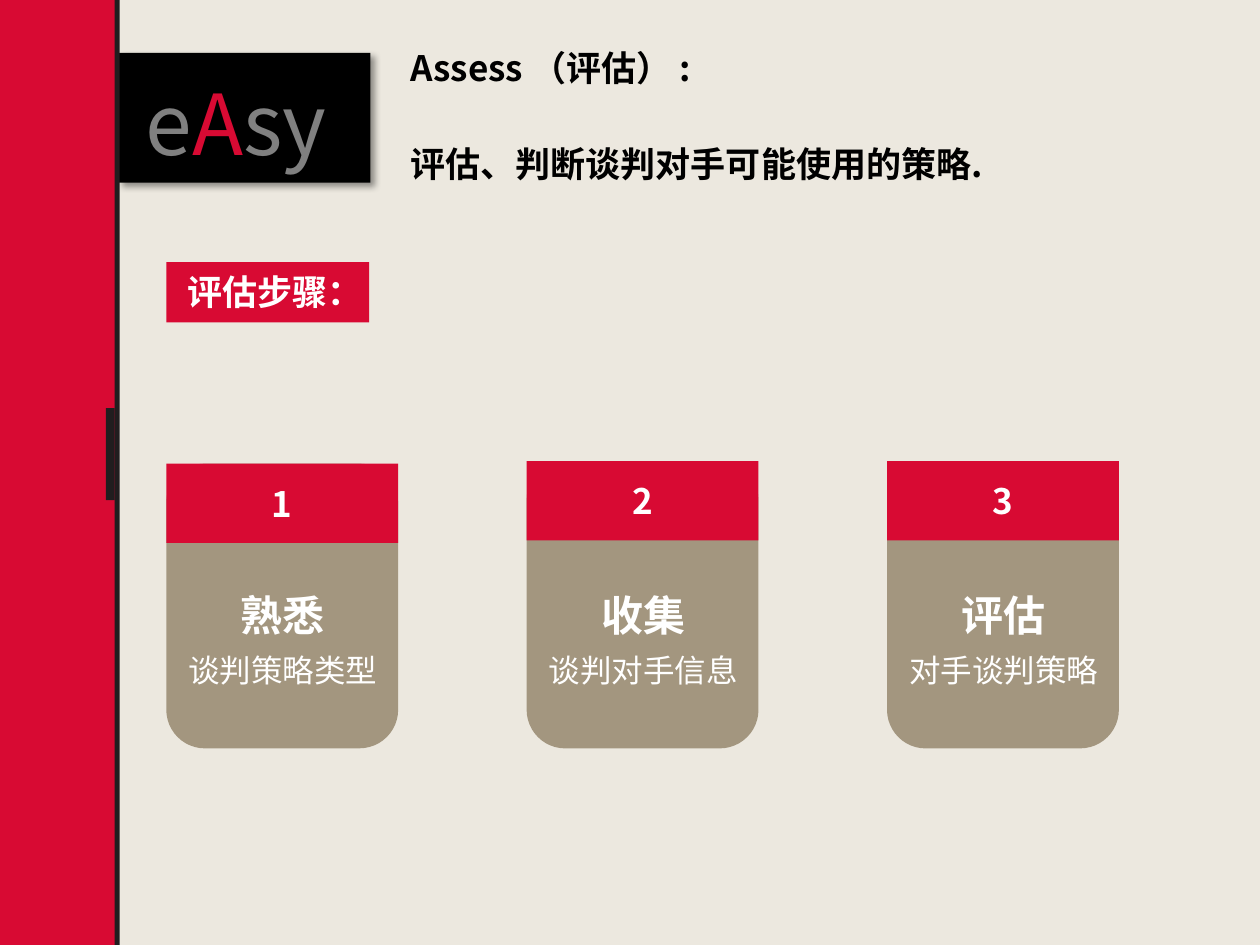
from lxml.etree import SubElement as Sub
from pptx import Presentation
from pptx.dml.color import RGBColor as Rgb
from pptx.enum.shapes import MSO_SHAPE as Kind
from pptx.enum.text import MSO_ANCHOR as Anchor, PP_ALIGN as Align
from pptx.oxml.ns import qn
from pptx.util import Inches, Pt

FACE = "Noto Sans CJK SC"
RED = Rgb(0xD8, 0x0A, 0x33)
DARK = Rgb(0x21, 0x1D, 0x1F)
BLACK = Rgb(0, 0, 0)
WHITE = Rgb(255, 255, 255)
GRAY = Rgb(0x80, 0x80, 0x80)
TAN = Rgb(0xA3, 0x96, 0x7F)
CREAM = Rgb(0xEC, 0xE8, 0xDF)

HEAD = {"size": Pt(20), "bold": True}
TITLE = {"size": Pt(24), "bold": True}
BODY = {"size": Pt(18), "bold": False}
LOGO = {"size": Pt(48), "bold": False}


def add_run(para, text, color, style):
    run = para.add_run()
    run.text = text
    for key, val in {"name": FACE, **style}.items():
        setattr(run.font, key, val)
    run.font.color.rgb = color
    Sub(run.font._element, qn("a:ea"), typeface=FACE)


def add_box(slide, box, color, kind=Kind.RECTANGLE):
    shape = slide.shapes.add_shape(kind, *map(Inches, box))
    shape.shadow.inherit = False
    shape.fill.solid()
    shape.fill.fore_color.rgb = color
    shape.line.fill.background()
    return shape


def add_text(slide, box, lines, wrap=True, **form):
    frame = slide.shapes.add_textbox(*map(Inches, box)).text_frame
    frame.word_wrap = wrap
    for num, runs in enumerate(lines):
        para = frame.add_paragraph() if num else frame.paragraphs[0]
        for key, val in form.items():
            setattr(para, key, val)
        for run in runs:
            add_run(para, *run)


def add_shade(shape):
    effects = shape._element.spPr.find(qn("a:effectLst"))
    shade = Sub(effects, qn("a:outerShdw"), blurRad=str(Pt(4)), dist=str(Pt(3)),
                dir="2700000", algn="tl", rotWithShape="0")
    color = Sub(shade, qn("a:srgbClr"), val=str(BLACK))
    Sub(color, qn("a:alpha"), val="40000")


def add_side(slide, left, top, width, height):
    add_box(slide, (left, top, width, height), RED)
    add_box(slide, (left + width - 0.01, top, 0.04, height), DARK)
    add_box(slide, (left + width - 0.08, top + 3.24, 0.07, 0.73), DARK)


def add_logo(slide, left, top, width, height):
    add_shade(add_box(slide, (left, top, width, height), BLACK))
    runs = [("e", GRAY, LOGO), ("A", RED, LOGO), ("sy", GRAY, LOGO)]
    add_text(slide, (left + 0.12, top + 0.1, 1.79, 0.91), [runs])


def add_intro(slide, left, top, width, height):
    lines = ["Assess （评估） :", "评估、判断谈判对手可能使用的策略."]
    for num, line in enumerate(lines):
        box = left, top + num * (height - 0.44), width, 0.44
        add_text(slide, box, [[(line, BLACK, HEAD)]], False)


def add_label(slide, left, top, width, height):
    add_box(slide, (left, top, width, height), RED)
    box = left + 0.07, top + 0.02, width, 0.44
    add_text(slide, box, [[("评估步骤：", WHITE, HEAD)]], False)


def add_card(slide, left, top, width, height, num, title, body):
    add_box(slide, (left, top, width, height), TAN, Kind.ROUNDED_RECTANGLE)
    frame = add_box(slide, (left, top, width, 0.63), RED).text_frame
    frame.vertical_anchor = Anchor.MIDDLE
    para = frame.paragraphs[0]
    para.alignment = Align.CENTER
    add_run(para, str(num), WHITE, HEAD)
    lines = [[(title, WHITE, TITLE)], [(body, WHITE, BODY)]]
    add_text(slide, (left, 4.51, width + 0.01, 1.02), lines,
             alignment=Align.CENTER, line_spacing=1.3)


def add_steps(slide, left, top, width, height):
    steps = [("熟悉", "谈判策略类型"), ("收集", "谈判对手信息"), ("评估", "对手谈判策略")]
    wide = 1.84
    pitch = (width - wide) / (len(steps) - 1)
    for num, step in enumerate(steps):
        drop = 0 if num else 0.02
        add_card(slide, left + num * pitch, top + drop, wide, height - drop,
                 num + 1, *step)


def main():
    deck = Presentation()
    deck.slide_width, deck.slide_height = Inches(10), Inches(7.5)
    slide = deck.slides.add_slide(deck.slide_layouts[6])
    slide.background.fill.solid()
    slide.background.fill.fore_color.rgb = CREAM
    add_logo(slide, 0.94, 0.42, 2, 1.03)
    add_side(slide, 0, 0, 0.92, 7.5)
    add_intro(slide, 3.16, 0.32, 4.77, 1.2)
    add_label(slide, 1.32, 2.08, 1.61, 0.48)
    add_steps(slide, 1.32, 3.66, 7.56, 2.28)
    deck.save("out.pptx")


if __name__ == "__main__":
    main()
